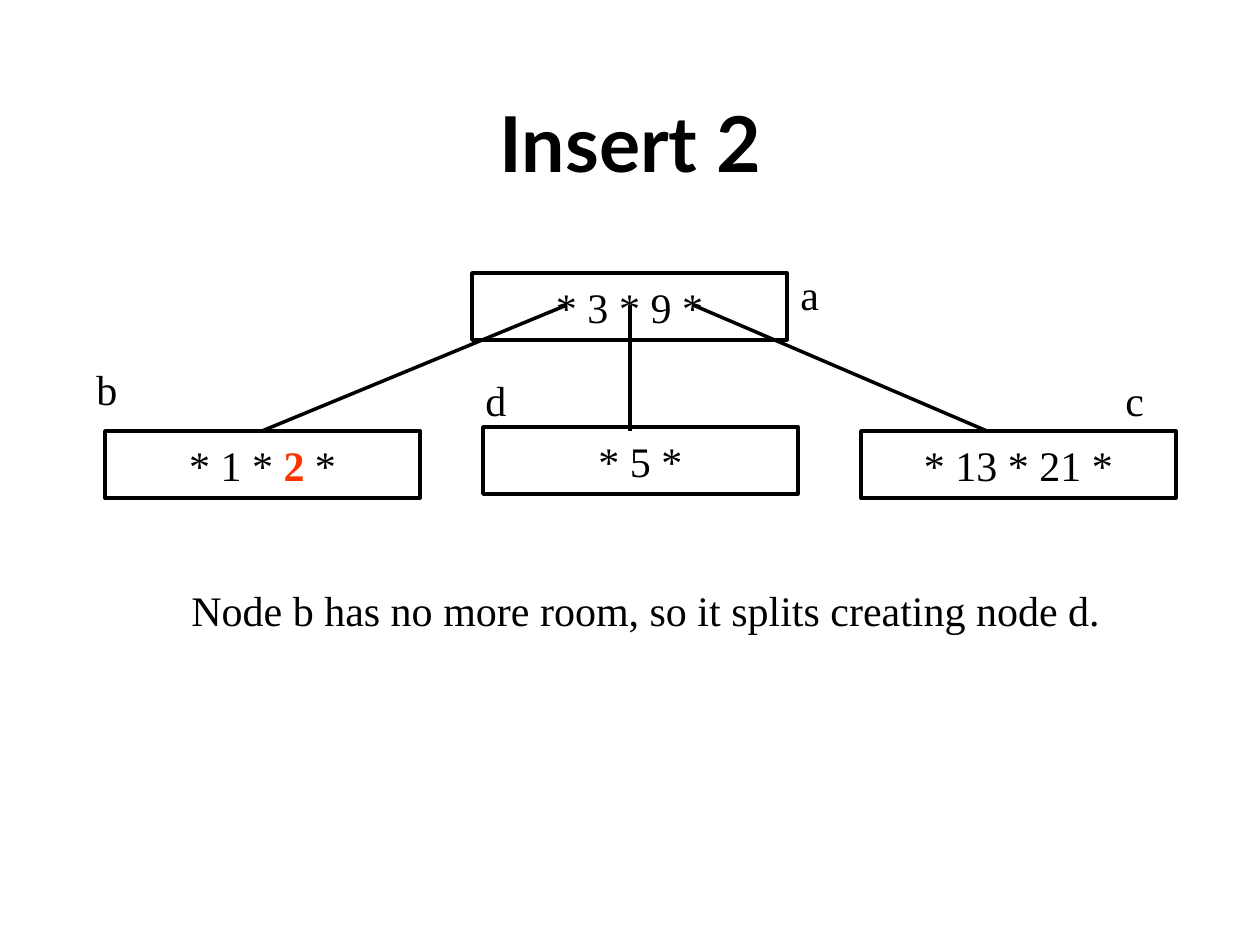
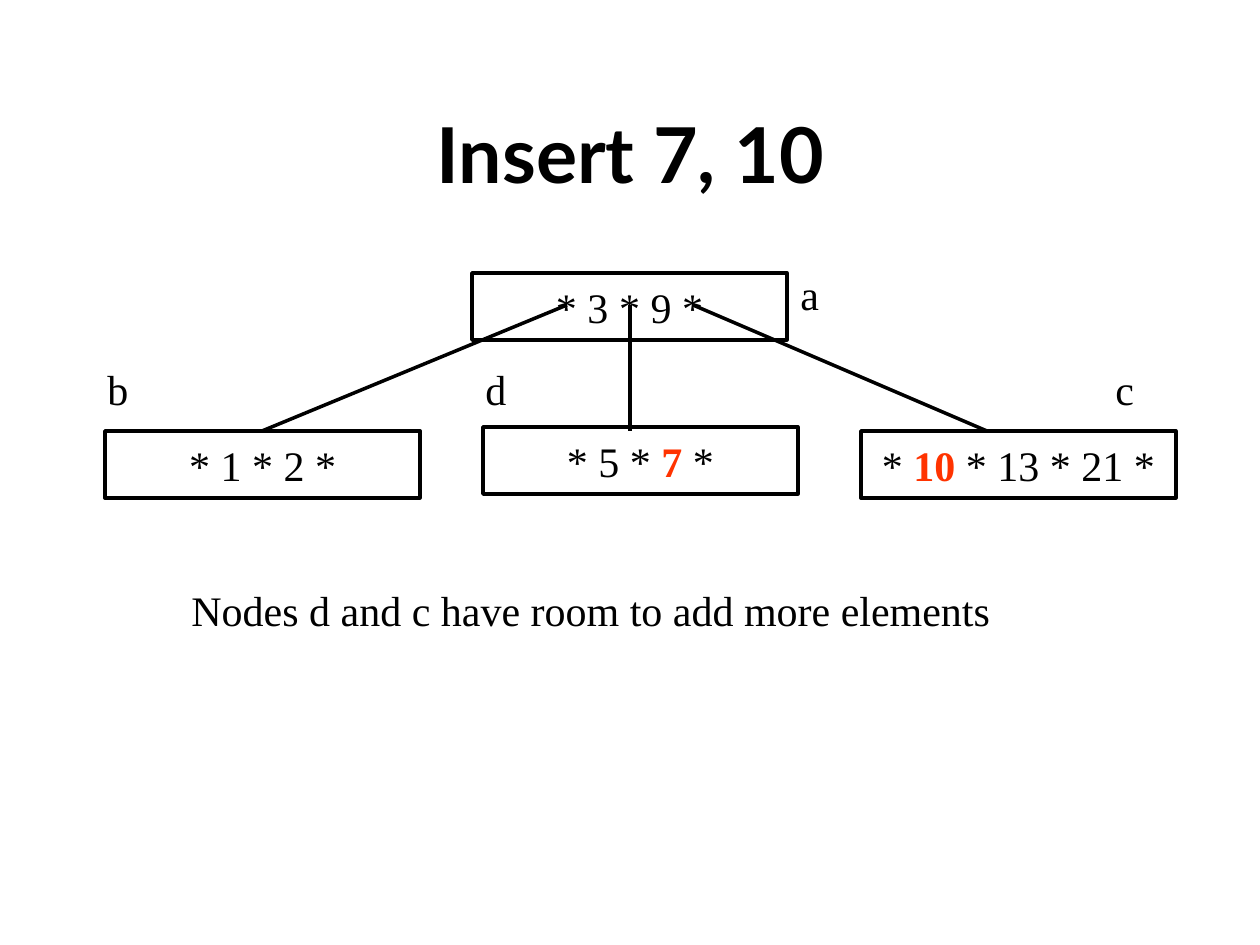
from dataclasses import dataclass
from pptx import Presentation
from pptx.dml.color import RGBColor
from pptx.enum.shapes import MSO_CONNECTOR, MSO_SHAPE
from pptx.enum.text import MSO_ANCHOR, MSO_AUTO_SIZE, PP_ALIGN
from pptx.oxml.ns import qn
from pptx.util import Emu, Pt
from lxml.etree import SubElement


@dataclass(frozen=True)
class Theme:
    ink: RGBColor = RGBColor(0, 0, 0)
    hot: RGBColor = RGBColor(0xFF, 0x33, 0)
    head: str = "Lato"
    body: str = "Times New Roman"
    big: int = 44
    size: int = 24
    line: int = 2


THEME = Theme()
SCALE = 914400 // 126
NODE = (315, 67)
TAG = (63, 63)
ROOT = (472, 273)
LEAVES = ((105, 431), (483, 427), (861, 431))
LINKS = ((567, 262), (630, 630), (693, 987))
LINK_TOP, LINK_END = 305, 431


def px(*vals):
    return [Emu(val * SCALE) for val in vals]


def add_run(para, text, font, size, color, bold=False):
    run = para.add_run()
    run.text = text
    run.font.name = font
    run.font.size = Pt(size)
    run.font.color.rgb = color
    run.font.bold = bold


def fill_text(shape, runs, align, anchor):
    frame = shape.text_frame
    frame.word_wrap = True
    frame.auto_size = MSO_AUTO_SIZE.SHAPE_TO_FIT_TEXT
    frame.vertical_anchor = anchor
    para = frame.paragraphs[0]
    para.alignment = align
    for text, hot in runs:
        color = THEME.hot if hot else THEME.ink
        add_run(para, text, THEME.body, THEME.size, color, hot)


def add_title(slide, text, height):
    title = slide.shapes.title
    title.left, title.top, title.width, title.height = px(95, 84, 1071, height)
    frame = title.text_frame
    frame.vertical_anchor = MSO_ANCHOR.MIDDLE
    para = frame.paragraphs[0]
    para.alignment = PP_ALIGN.CENTER
    add_run(para, text, THEME.head, THEME.big, THEME.ink, True)


def add_node(slide, spot, runs):
    node = slide.shapes.add_shape(MSO_SHAPE.RECTANGLE, *px(*spot, *NODE))
    node.shadow.inherit = False
    node.fill.background()
    node.line.color.rgb = THEME.ink
    node.line.width = Pt(THEME.line)
    fill_text(node, runs, PP_ALIGN.CENTER, MSO_ANCHOR.MIDDLE)


def add_link(slide, start, end):
    ends = px(start, LINK_TOP, end, LINK_END)
    link = slide.shapes.add_connector(MSO_CONNECTOR.STRAIGHT, *ends)
    link.line.color.rgb = THEME.ink
    link.line.width = Pt(THEME.line)
    SubElement(link._element.spPr, qn("a:effectLst"))


def add_label(slide, spot, size, text):
    box = slide.shapes.add_textbox(*px(*spot, *size))
    fill_text(box, [(text, False)], PP_ALIGN.LEFT, MSO_ANCHOR.TOP)


def add_tree(deck, title, height, leaves, tags, note, width):
    slide = deck.slides.add_slide(deck.slide_layouts[5])
    add_title(slide, title, height)
    add_node(slide, ROOT, [("* 3 * 9 *", False)])
    for spot, runs in zip(LEAVES, leaves):
        add_node(slide, spot, runs)
    for start, end in LINKS:
        add_link(slide, start, end)
    add_label(slide, (788, 262), TAG, "a")
    for name, spot in tags.items():
        add_label(slide, spot, TAG, name)
    add_label(slide, (179, 578), (width, 63), note)


def main():
    deck = Presentation()
    deck.slide_width, deck.slide_height = px(1260, 945)
    add_tree(
        deck, "Insert 2", 116,
        [
            [("* 1 * ", False), ("2", True), (" *", False)],
            [("* 5 *", False)],
            [("* 13 * 21 *", False)],
        ],
        {"b": (84, 357), "d": (473, 368), "c": (1113, 368)},
        "Node b has no more room, so it splits creating node d.", 1008,
    )
    add_tree(
        deck, "Insert 7, 10", 137,
        [
            [("* 1 * 2 *", False)],
            [("* 5 * ", False), ("7", True), (" *", False)],
            [("* ", False), ("10 ", True), ("* 13 * 21 *", False)],
        ],
        {"b": (95, 357), "d": (473, 357), "c": (1103, 357)},
        "Nodes d and c have room to add more elements", 872,
    )
    deck.save("out.pptx")


main()
